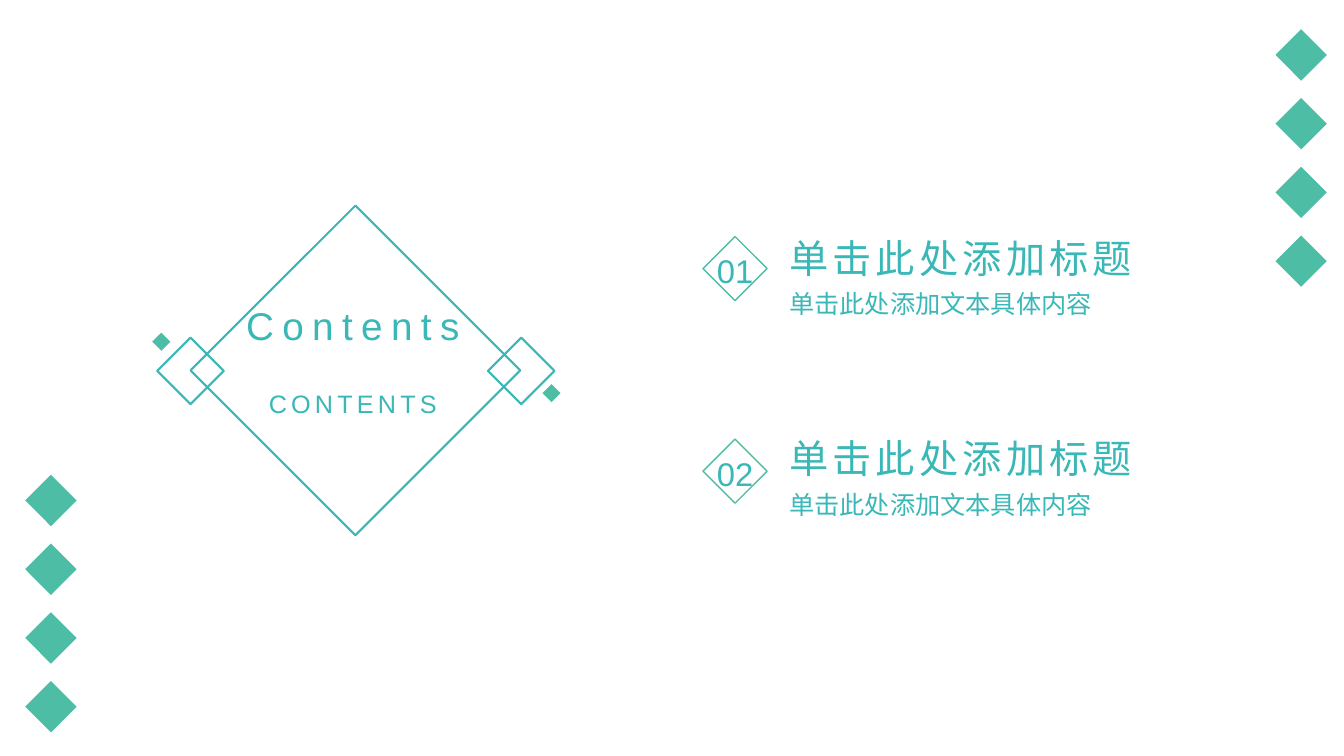
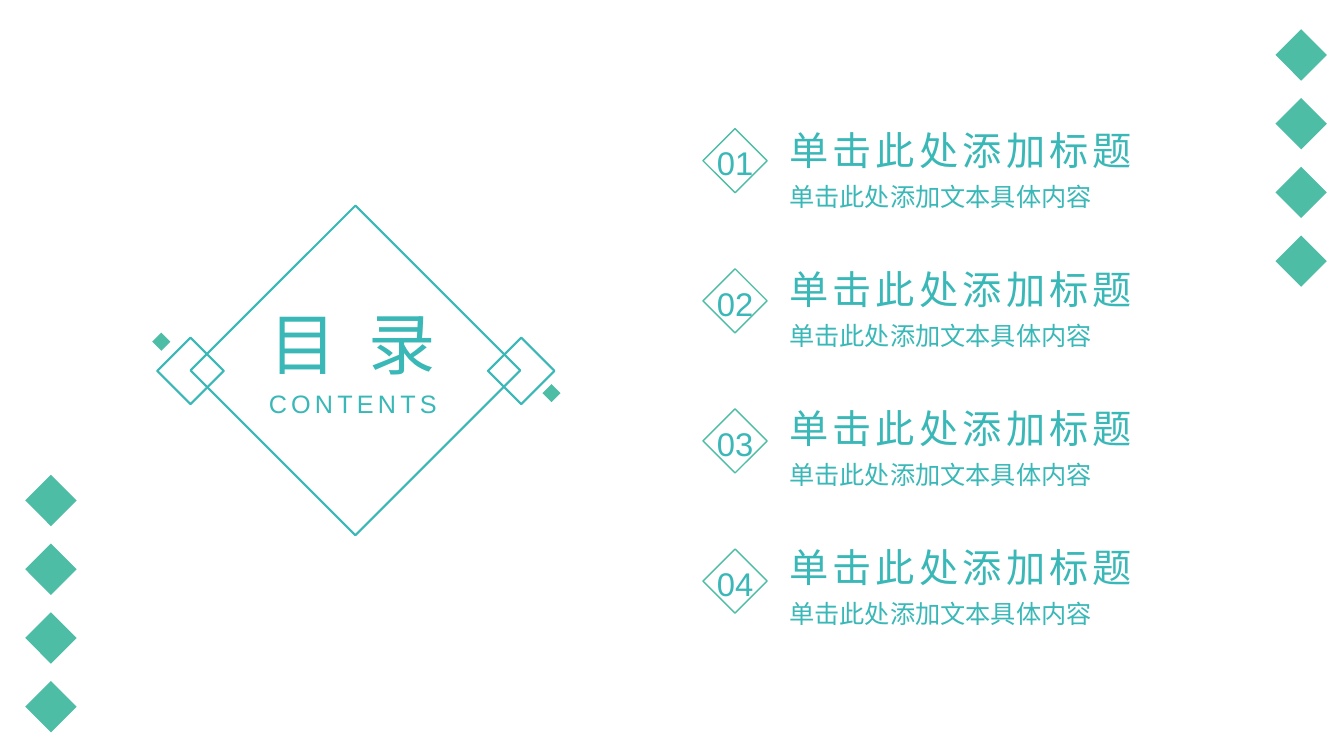
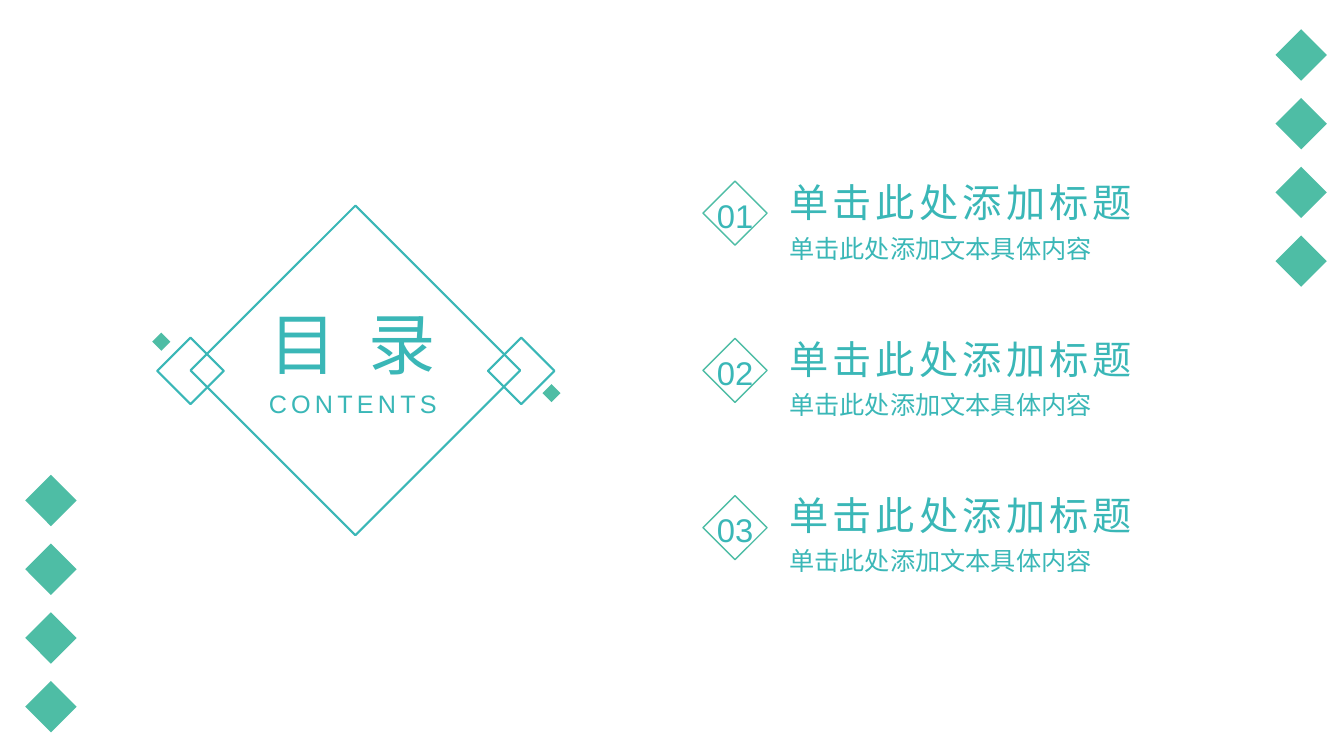
from pptx import Presentation, util as u
from pptx.dml.color import RGBColor
from pptx.enum import shapes, text

HEAD = "单击此处添加标题"
BODY = "单击此处添加文本具体内容"

# caption, caption size, number of items, first top, text pitch, badge pitch
PAGES = [
    ("Contents", 27.6, 2, 2.22, 1.99, 2.01),
    ("目 录", 48, 4, 1.15, 1.38, 1.39),
    ("目 录", 48, 3, 1.67, 1.55, 1.56),
]

INK = {"teal": "3AB7B7", "mint": "4EBDA5"}
FONT = "Arial"
WIDE, HIGH = 13.33, 7.5
KIND = shapes.MSO_SHAPE

# left, top, side
FRAMES = [(1.89, 2.04, 3.27), (1.56, 3.35, 0.66), (4.84, 3.35, 0.66)]
DOTS = [(1.51, 3.3, 0.18), (5.38, 3.81, 0.18)]
# left, top of the first diamond in each column
CHAINS = [(0.25, 4.71), (12.65, 0.29)]
LINKS, LINK, STEP = 4, 0.51, 0.682

TEXT_X, TEXT_W, HEAD_H, BODY_H = 7.73, 3.81, 0.57, 0.5
BADGE_X, BADGE_W, BADGE_H, DROP = 6.84, 0.9, 0.71, 0.11
TILE, TILE_DY = 0.45, 0.11


def rgb(name):
    """Return a palette colour."""
    return RGBColor.from_string(INK[name])


def inch(*nums):
    """Turn numbers into inch lengths."""
    return [u.Inches(n) for n in nums]


def draw(tree, kind, area, fill=None, line=None, width=1, turn=0):
    """Add a preset shape with an optional fill and outline."""
    shape = tree.add_shape(kind, *inch(*area))
    shape.shadow.inherit = False
    shape.rotation = turn
    if fill:
        shape.fill.solid()
        shape.fill.fore_color.rgb = rgb(fill)
    else:
        shape.fill.background()
    if line:
        shape.line.color.rgb = rgb(line)
        shape.line.width = u.Pt(width)
    else:
        shape.line.fill.background()
    return shape


def write(shape, words, size, align="LEFT", anchor="TOP", wrap=True,
          pads=(0.1, 0.05, 0.1, 0.05), lead=1, gap=0):
    """Put one formatted paragraph into a shape."""
    frame = shape.text_frame
    frame.word_wrap = wrap
    frame.vertical_anchor = getattr(text.MSO_ANCHOR, anchor)
    (frame.margin_left, frame.margin_top,
     frame.margin_right, frame.margin_bottom) = inch(*pads)
    para = frame.paragraphs[0]
    para.alignment = getattr(text.PP_ALIGN, align)
    para.line_spacing = lead
    run = para.add_run()
    run.text = words
    run.font.size = u.Pt(size)
    run.font.name = FONT
    run.font.color.rgb = rgb("teal")
    if gap:
        run._r.get_or_add_rPr().set("spc", str(gap * 100))


def label(slide, area, words, size, **form):
    """Add a text box."""
    write(slide.shapes.add_textbox(*inch(*area)), words, size, **form)


def dress(layout, slide):
    """Build the shared diamonds on a blank slide and move them to its layout."""
    tree = slide.shapes
    for x, y, side in FRAMES:
        draw(tree, KIND.DIAMOND, (x, y, side, side), line="teal", width=1.5)
    for x, y, side in DOTS:
        draw(tree, KIND.DIAMOND, (x, y, side, side), fill="mint")
    for x, y in CHAINS:
        group = tree.add_group_shape()
        for row in range(LINKS):
            draw(group.shapes, KIND.DIAMOND, (x, y + row * STEP, LINK, LINK),
                 fill="mint")
    for shape in list(tree):
        layout.shapes.element.append(shape.element)


def item(slide, num, top, badge):
    """Add one numbered entry with its heading and text."""
    label(slide, (TEXT_X, top, TEXT_W, HEAD_H), HEAD, 28, anchor="BOTTOM",
          pads=(0.1, 0.05, 0.1, 0), gap=3)
    label(slide, (TEXT_X, top + HEAD_H, TEXT_W, BODY_H), BODY, 18,
          pads=(0.1, 0, 0.1, 0.05), lead=1.25)
    oval = draw(slide.shapes, KIND.OVAL, (BADGE_X, badge, BADGE_W, BADGE_H))
    write(oval, f"{num:02}", 23.4, align="CENTER", anchor="MIDDLE")
    left = BADGE_X + (BADGE_W - TILE) / 2
    draw(slide.shapes, KIND.RECTANGLE, (left, badge + TILE_DY, TILE, TILE),
         line="mint", turn=45)


def fill(slide, title, size, count, first, pitch, skip):
    """Add the entries and the central caption of one page."""
    for row in range(count):
        item(slide, row + 1, first + row * pitch, first + DROP + row * skip)
    label(slide, (2.33, 2.95, 2.34, 0.92), title, size, align="CENTER",
          wrap=False, gap=6)
    label(slide, (2.51, 3.65, 1.98, 0.5), "CONTENTS", 18, align="CENTER",
          wrap=False, lead=1.5, gap=3)


def main():
    """Build and save the deck."""
    deck = Presentation()
    deck.slide_width, deck.slide_height = inch(WIDE, HIGH)
    blank = deck.slide_layouts[6]
    slides = [deck.slides.add_slide(blank) for _ in PAGES]
    dress(blank, slides[0])
    for slide, page in zip(slides, PAGES):
        fill(slide, *page)
    deck.save("out.pptx")


main()
